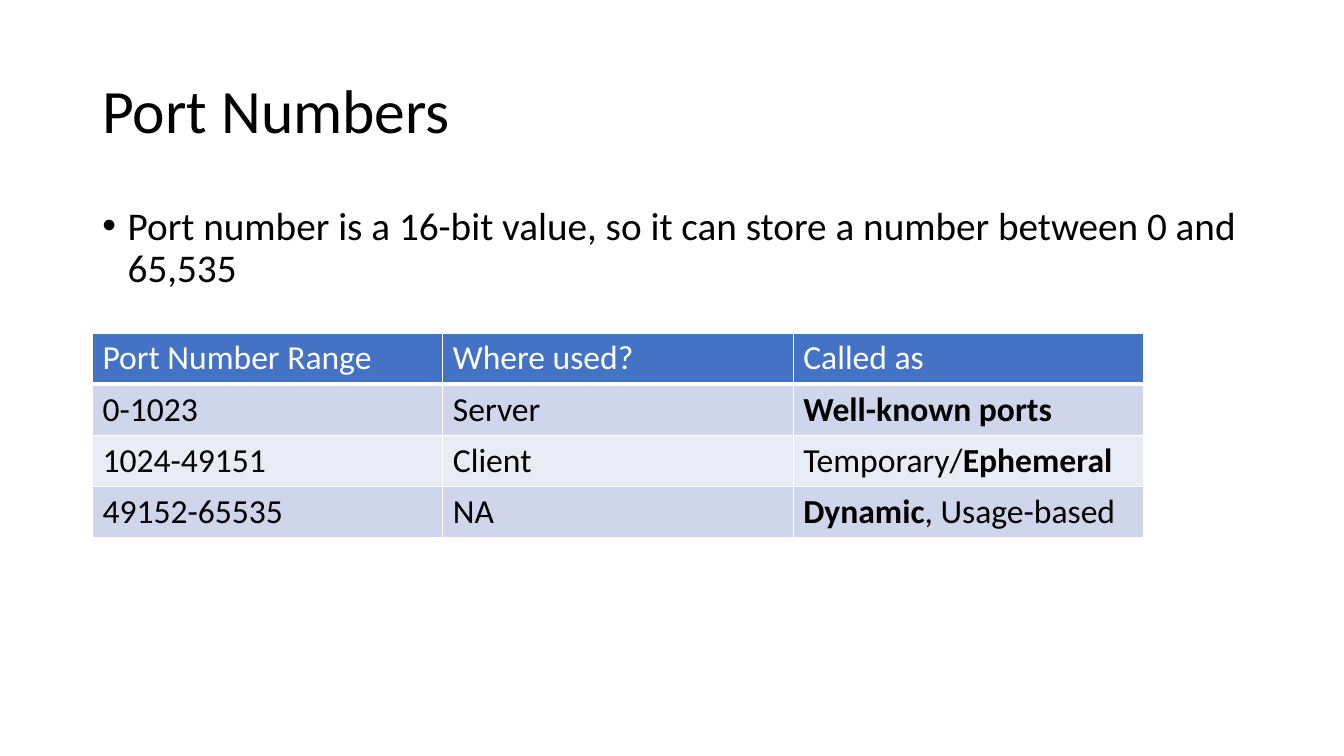
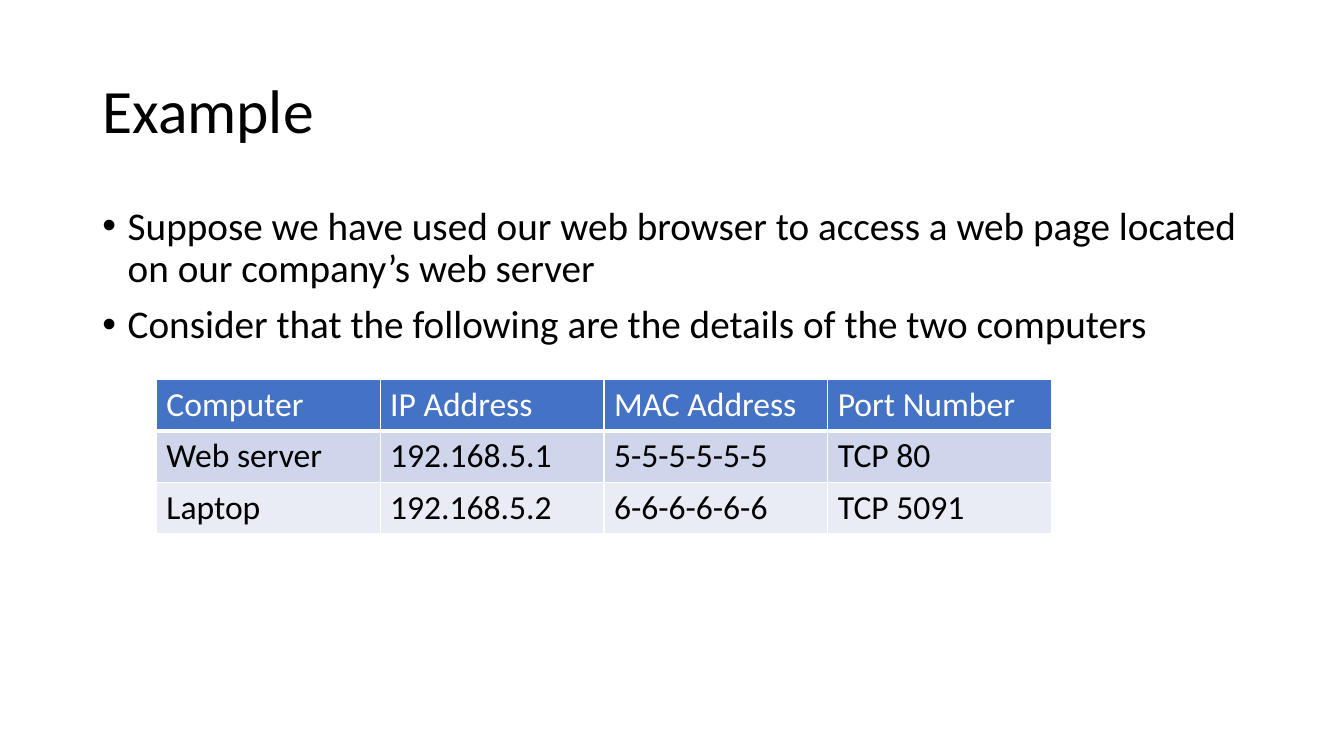
from lxml.etree import SubElement
from pptx import Presentation
from pptx.dml.color import RGBColor
from pptx.enum.text import MSO_ANCHOR
from pptx.oxml.ns import qn
from pptx.util import Cm, Pt

BLACK = RGBColor(0x00, 0x00, 0x00)
WHITE = RGBColor(0xFF, 0xFF, 0xFF)
BLUE = RGBColor(0x44, 0x72, 0xC4)
BANDS = [RGBColor(0xCF, 0xD5, 0xEA), RGBColor(0xE9, 0xEB, 0xF5)]
FONT = "Calibri"
LEFT = Cm(2.33)
WIDTH = Cm(29.21)
ROW = Cm(1.29)


def style(run, size, color=BLACK, bold=False):
    run.font.name = FONT
    run.font.size = Pt(size)
    run.font.color.rgb = color
    run.font.bold = bold


def add_text(slide, top, height, lines, size):
    frame = slide.shapes.add_textbox(LEFT, top, WIDTH, height).text_frame
    frame.word_wrap = True
    frame.text = "\n".join(lines)
    for para in frame.paragraphs:
        para.line_spacing = 0.9
        for run in para.runs:
            style(run, size)
    return frame


def add_title(slide, title):
    frame = add_text(slide, Cm(1.01), Cm(3.68), [title], 44)
    frame.vertical_anchor = MSO_ANCHOR.MIDDLE


def add_list(slide, lines):
    frame = add_text(slide, Cm(5.07), Cm(12.09), lines, 28)
    for para in frame.paragraphs:
        para.space_before = Pt(10)
        props = para._p.get_or_add_pPr()
        props.set("marL", str(Cm(0.64)))
        props.set("indent", str(-Cm(0.64)))
        SubElement(props, qn("a:buFont"), typeface="Arial")
        SubElement(props, qn("a:buChar"), char="•")


def add_edges(cell, base):
    props = cell._tc.get_or_add_tcPr()
    for side, width in zip("LRTB", (1, 1, 1, base)):
        line = SubElement(props, qn(f"a:ln{side}"), w=str(Pt(width)))
        fill = SubElement(line, qn("a:solidFill"))
        SubElement(fill, qn("a:srgbClr"), val=str(WHITE))


def fill_cell(cell, text, head, back):
    add_edges(cell, 3 if head else 1)
    cell.fill.solid()
    cell.fill.fore_color.rgb = back
    para = cell.text_frame.paragraphs[0]
    for place, piece in enumerate(text.split("*")):
        if piece:
            run = para.add_run()
            run.text = piece
            style(run, 24, WHITE if head else BLACK, place % 2 == 1)


def add_grid(slide, left, top, width, rows):
    count = len(rows[0])
    table = slide.shapes.add_table(
        len(rows), count, left, top, width * count, ROW * len(rows)).table
    for r, row in enumerate(rows):
        back = BANDS[(r - 1) % 2] if r else BLUE
        for c, text in enumerate(row):
            fill_cell(table.cell(r, c), text, r == 0, back)


def add_page(deck, title, lines):
    slide = deck.slides.add_slide(deck.slide_layouts[6])
    add_title(slide, title)
    add_list(slide, lines)
    return slide


def main():
    deck = Presentation()
    deck.slide_width = Cm(33.87)
    deck.slide_height = Cm(19.05)

    ports = add_page(deck, "Port Numbers", [
        "Port number is a 16-bit value, so it can store a number between 0 and 65,535",
    ])
    add_grid(ports, LEFT, Cm(8.39), Cm(8.83), [
        ["Port Number Range", "Where used?", "Called as"],
        ["0-1023", "Server", "*Well-known ports*"],
        ["1024-49151", "Client", "Temporary/*Ephemeral*"],
        ["49152-65535", "NA", "*Dynamic*, Usage-based"],
    ])

    sample = add_page(deck, "Example", [
        "Suppose we have used our web browser to access a web page located on our company’s web server",
        "Consider that the following are the details of the two computers",
    ])
    add_grid(sample, Cm(3.94), Cm(9.57), Cm(5.64), [
        ["Computer", "IP Address", "MAC Address", "Port Number"],
        ["Web server", "192.168.5.1", "5-5-5-5-5-5", "TCP 80"],
        ["Laptop", "192.168.5.2", "6-6-6-6-6-6", "TCP 5091"],
    ])

    deck.save("out.pptx")


if __name__ == "__main__":
    main()
